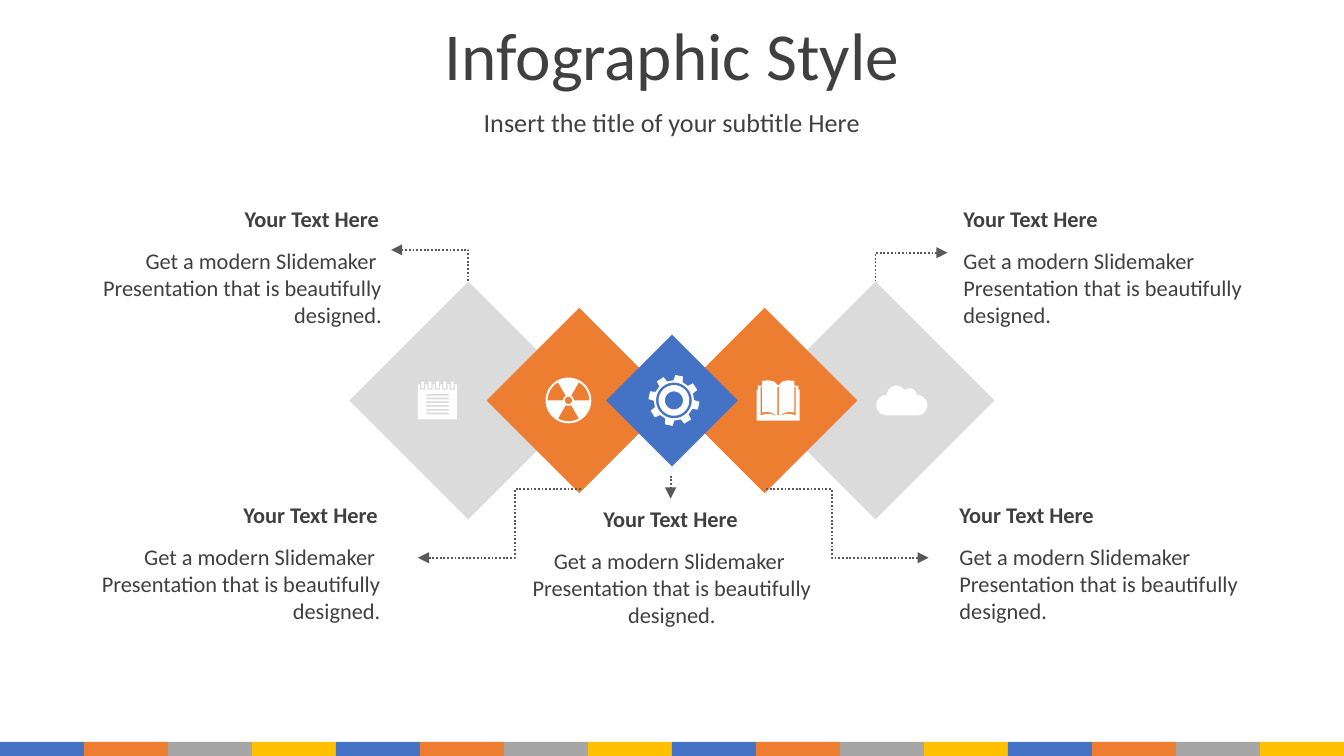
import math
import pptx
import pptx.util
import pptx.dml.color
import pptx.enum.dml
import pptx.enum.shapes
import pptx.enum.text
import lxml.etree
import pptx.oxml.ns

SHAPE = pptx.enum.shapes.MSO_SHAPE
LINE = pptx.enum.shapes.MSO_CONNECTOR
ALIGN = pptx.enum.text.PP_ALIGN
QN = pptx.oxml.ns.qn

# The slide is a grid of 100 columns and 56.25 rows of square cells
WIDTH, HEIGHT = 100, 56.25
CELL = pptx.util.Inches(10) / WIDTH
BLUE, ORANGE, GREY, GOLD = "4472C4", "ED7D31", "A5A5A5", "FFC000"
PALE, WHITE, INK, RULE = "DBDBDB", "FFFFFF", "404040", "595959"
HEADING = "Your Text Here"
BODY = "Get a modern Slidemaker  Presentation that is beautifully designed."


def cells(*counts):
    return [pptx.util.Emu(round(count * CELL)) for count in counts]


def colour(value):
    return pptx.dml.color.RGBColor.from_string(value)


def apply(target, values):
    for name, value in values.items():
        setattr(target, name, value)


def paint(shape, fill):
    shape.shadow.inherit = False
    shape.fill.solid()
    shape.fill.fore_color.rgb = colour(fill)
    shape.line.fill.background()


def write(shape, text, size, align=ALIGN.CENTER, bold=False, **spacing):
    frame = shape.text_frame
    apply(frame, {"word_wrap": True,
                  "auto_size": pptx.enum.text.MSO_AUTO_SIZE.NONE,
                  "vertical_anchor": pptx.enum.text.MSO_ANCHOR.MIDDLE})
    para = frame.paragraphs[0]
    apply(para, {"alignment": align, **spacing})
    span = para.add_run()
    span.text = text
    apply(span.font, {"name": "Calibri", "size": pptx.util.Pt(size), "bold": bold})
    span.font.color.rgb = colour(INK)


# Outlines used by the icons
def arc(x, y, radius, start, end, steps=24):
    angles = [math.radians(start + (end - start) * i / steps) for i in range(steps + 1)]
    return [(x + radius * math.cos(a), y + radius * math.sin(a)) for a in angles]


def circle(radius):
    return arc(0, 0, radius, 0, 360, 48)


def rectangle(x, y, width, height):
    return [(x, y), (x + width, y), (x + width, y + height), (x, y + height)]


def mirrored(points):
    return [(-x, y) for x, y in reversed(points)]


def gear():
    teeth = []
    for i in range(8):
        middle = -78 + 45 * i
        for turn, radius in ((-13, 1.5), (-9, 1.9), (9, 1.9), (13, 1.5)):
            teeth += arc(0, 0, radius, middle + turn, middle + turn, 1)[:1]
    return [teeth, circle(1.33), circle(1.14), circle(0.67)]


def radiation():
    blades = [arc(0, 0, 1.55, start, start + 60) + arc(0, 0, 0.4, start + 60, start)
              for start in (60, 180, 300)]
    return [circle(1.7), circle(0.27)] + blades


def notepad():
    outlines = [rectangle(-1.45, -1.2, 2.9, 2.6)]
    outlines += [rectangle(-0.85, -0.5 + 0.28 * i, 1.7, 0.13) for i in range(6)]
    for i in range(5):
        middle = -1.1 + 0.55 * i
        outlines += [rectangle(middle - 0.2, -1.2, 0.4, 0.4),
                     rectangle(middle - 0.1, -1.4, 0.2, 0.5)]
    return outlines


def book():
    cover = [(-1.6, 1.5), (-1.6, -0.8), (-1.5, -0.8), (-1.5, -1.1), (-1.2, -1.1),
             (-1.2, -1.45), (-0.7, -1.5), (-0.3, -1.4), (0, -1.1)]
    gap = [(-1.3, -1), (-1.2, -1), (-1.2, 0.9), (-0.8, 0.85), (-0.4, 0.95),
           (-0.05, 1.2), (-0.5, 1), (-0.9, 1), (-1.3, 1.1)]
    return [cover + mirrored(cover), gap, mirrored(gap), rectangle(-0.05, -1, 0.1, 2.1)]


def cloud():
    return [arc(-1.15, 0.35, 0.75, 90, 270) + arc(-0.4, -0.4, 0.7, 180, 325)
            + arc(0.6, -0.4, 0.5, 250, 360) + arc(1.15, 0.35, 0.75, -90, 90)]


def add_icon(page, x, y, outlines):
    builder = None
    for points in outlines:
        placed = [tuple(cells(x + px, y + py)) for px, py in points]
        if builder is None:
            builder = page.shapes.build_freeform(*placed[0])
        else:
            builder.move_to(*placed[0])
        builder.add_line_segments(placed[1:], close=True)
    paint(builder.convert_to_shape(), WHITE)


def add_header(page, left, top, width):
    title = page.shapes.title
    subtitle = page.shapes.add_textbox(*cells(left, top + 6.3, width, 3.1))
    apply(title, dict(zip(("left", "top", "width", "height"), cells(left, top, width, 6.3))))
    before = pptx.util.Pt(7.5)
    write(title, "Infographic Style", 36, line_spacing=0.8, space_before=before)
    write(subtitle, "Insert the title of your subtitle Here", 14,
          line_spacing=0.9, space_before=before)


def add_strip(page, left, top, width, height, count=16):
    step = width / count
    for i in range(count):
        bar = page.shapes.add_shape(SHAPE.RECTANGLE, *cells(left + i * step, top, step, height))
        paint(bar, (BLUE, ORANGE, GREY, GOLD)[i % 4])


def add_diamonds(page, x, y):
    for offset, size, fill in ((15.15, 17.7, PALE), (-15.15, 17.7, PALE),
                               (6.9, 13.8, ORANGE), (-6.9, 13.8, ORANGE), (0, 9.8, BLUE)):
        box = cells(x + offset - size / 2, y - size / 2, size, size)
        paint(page.shapes.add_shape(SHAPE.DIAMOND, *box), fill)
    for offset, outlines in ((-17.45, notepad()), (-7.7, radiation()), (0.15, gear()),
                             (7.9, book()), (17.1, cloud())):
        add_icon(page, x + offset, y, outlines)


def add_callout(page, left, top, align):
    heading = page.shapes.add_textbox(*cells(left, top, 25.6, 3))
    write(heading, HEADING, 12, align, bold=True)
    body = page.shapes.add_textbox(*cells(left, top + 3.05, 25.8, 7.1))
    write(body, BODY, 12, align)


def add_arrow(page, kind, start, end, arrow_end="tailEnd", preset=None, bend=None):
    arrow = page.shapes.add_connector(kind, *cells(*start, *end))
    arrow.line.color.rgb = colour(RULE)
    apply(arrow.line, {"width": pptx.util.Pt(1),
                       "dash_style": pptx.enum.dml.MSO_LINE.ROUND_DOT})
    properties = arrow._element.spPr
    lxml.etree.SubElement(properties.find(QN("a:ln")), QN("a:" + arrow_end), type="triangle")
    lxml.etree.SubElement(properties, QN("a:effectLst"))
    geometry = properties.find(QN("a:prstGeom"))
    if preset:
        geometry.set("prst", preset)
    if bend:
        lxml.etree.SubElement(geometry.find(QN("a:avLst")), QN("a:gd"),
                              name="adj1", fmla=f"val {bend}")


def add_arrows(page):
    # Corner arrows run across from the text, then down to a diamond's top
    for text_end, diamond_top in (((29.1, 18.6), (34.85, 20.9)), ((70.5, 18.8), (65.15, 20.9))):
        add_arrow(page, LINE.ELBOW, text_end, diamond_top, "headEnd", "bentConnector2")
    # Stepped arrows leave the lower diamonds
    for start, end in (((43.2, 36.4), (31.1, 41.5)), ((57, 36.4), (69.1, 41.5))):
        add_arrow(page, LINE.ELBOW, start, end, bend=40500)
    add_arrow(page, LINE.STRAIGHT, (49.9, 35.4), (49.9, 37.1))


def main():
    deck = pptx.Presentation()
    deck.slide_width, deck.slide_height = cells(WIDTH, HEIGHT)
    page = deck.slides.add_slide(deck.slide_layouts[5])
    add_strip(page, 0, HEIGHT - 1.05, WIDTH, 1.05)
    add_header(page, 0, 1.4, WIDTH)
    add_diamonds(page, WIDTH / 2, 29.8)
    for left, top, align in ((3.6, 14.8, ALIGN.RIGHT), (3.5, 36.8, ALIGN.RIGHT),
                             (70.7, 14.8, ALIGN.LEFT), (70.4, 36.8, ALIGN.LEFT),
                             (37.1, 37.1, ALIGN.CENTER)):
        add_callout(page, left, top, align)
    add_arrows(page)
    deck.save("out.pptx")


if __name__ == "__main__":
    main()
